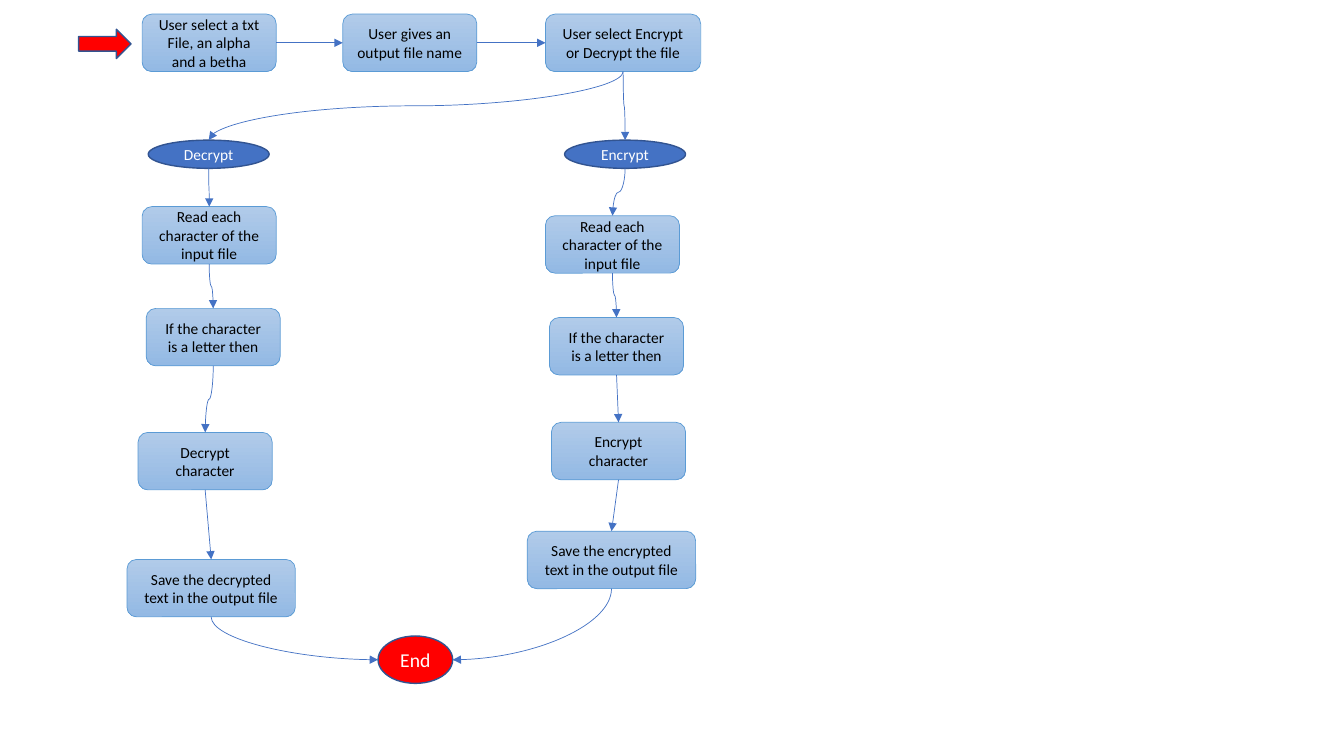
from lxml.etree import SubElement
from pptx import Presentation
from pptx.dml.color import RGBColor
from pptx.enum.shapes import MSO_CONNECTOR, MSO_SHAPE
from pptx.enum.text import MSO_ANCHOR, PP_ALIGN
from pptx.oxml.ns import qn
from pptx.util import Inches, Pt

BLACK = RGBColor(0x00, 0x00, 0x00)
WHITE = RGBColor(0xFF, 0xFF, 0xFF)
RED = RGBColor(0xFF, 0x00, 0x00)
BLUE = RGBColor(0x44, 0x72, 0xC4)
NAVY = RGBColor(0x32, 0x54, 0x91)
SKY = RGBColor(0x5B, 0x9B, 0xD5)
PALE = RGBColor(0xB1, 0xCB, 0xE9)
MIST = RGBColor(0x93, 0xB9, 0xE4)

# Connection site numbers of each preset shape
BOX_SITES = {"top": 0, "left": 1, "bottom": 2, "right": 3}
OVAL_SITES = {"top": 0, "left": 2, "bottom": 4, "right": 6}


def write(shape, text, size=11, color=BLACK, font="Calibri"):
    """Put centred text in a shape."""
    frame = shape.text_frame
    frame.word_wrap = True
    frame.vertical_anchor = MSO_ANCHOR.MIDDLE
    para = frame.paragraphs[0]
    para.alignment = PP_ALIGN.CENTER
    run = para.add_run()
    run.text = text
    run.font.name = font
    run.font.size = Pt(size)
    run.font.color.rgb = color


def spot(shape, side):
    """Return the middle of one side of a shape."""
    x = {"left": 0, "right": shape.width}.get(side, shape.width // 2)
    y = {"top": 0, "bottom": shape.height}.get(side, shape.height // 2)
    return shape.left + x, shape.top + y


class Flow:
    """Style and current slide of the flow chart."""

    def __init__(self, slide):
        """Keep the slide to draw on."""
        self.shapes = slide.shapes

    def shape(self, kind, left, top, width, height, line, weight):
        """Add a preset shape with its outline."""
        item = self.shapes.add_shape(
            kind, Inches(left), Inches(top), Inches(width), Inches(height))
        item.shadow.inherit = False
        item.line.color.rgb = line
        item.line.width = Pt(weight)
        return item

    def step(self, text, left, top, width=1.33):
        """Add a rounded step box with a gradient."""
        box = self.shape(MSO_SHAPE.ROUNDED_RECTANGLE, left, top, width, 0.57, SKY, 0.5)
        box.fill.gradient()
        box.fill.gradient_angle = 270
        for stop, color in zip(box.fill.gradient_stops, (PALE, MIST)):
            stop.color.rgb = color
        write(box, text)
        return box

    def solid(self, kind, left, top, width, height, color):
        """Add a plain filled shape with a dark outline."""
        item = self.shape(kind, left, top, width, height, NAVY, 1)
        item.fill.solid()
        item.fill.fore_color.rgb = color
        return item

    def oval(self, text, left, top, width=1.2, height=0.28, color=BLUE, size=11):
        """Add a labelled ellipse."""
        item = self.solid(MSO_SHAPE.OVAL, left, top, width, height, color)
        write(item, text, size=size, color=WHITE)
        return item

    def link(self, start, end, out="bottom", into="top", curve=False):
        """Join two shapes with an arrow; a curve leaves downwards."""
        (x1, y1), (x2, y2) = spot(start, out), spot(end, into)
        if curve:
            # The frame lies on its side and is turned about its centre
            long, wide = y2 - y1, abs(x2 - x1)
            left, top = (x1 + x2 - long) // 2, (y1 + y2 - wide) // 2
            line = self.shapes.add_connector(
                MSO_CONNECTOR.CURVE, left, top, left + long, top + wide)
            frame = line._element.spPr.find(qn("a:xfrm"))
            if x2 < x1:
                frame.set("rot", "5400000")
            else:
                frame.set("rot", "16200000")
                frame.set("flipH", "1")
            if into != "top":
                line._element.spPr.find(qn("a:prstGeom")).set("prst", "curvedConnector2")
        else:
            line = self.shapes.add_connector(MSO_CONNECTOR.STRAIGHT, x1, y1, x2, y2)
        line.line.color.rgb = BLUE
        line.line.width = Pt(0.5)
        SubElement(line.line._get_or_add_ln(), qn("a:tailEnd"), type="triangle")
        SubElement(line._element.spPr, qn("a:effectLst"))
        glue = line._element.find(".//" + qn("p:cNvCxnSpPr"))
        for tag, item, side in (("a:stCxn", start, out), ("a:endCxn", end, into)):
            sites = OVAL_SITES if item.auto_shape_type == MSO_SHAPE.OVAL else BOX_SITES
            SubElement(glue, qn(tag), id=str(item.shape_id), idx=str(sites[side]))

    def branch(self, label, steps, curves):
        """Add a branch from its label down, and link it; return its ends."""
        chain = [self.oval(*label)] + [self.step(*step) for step in steps]
        for start, end, curve in zip(chain, chain[1:], curves):
            self.link(start, end, curve=curve)
        return chain[0], chain[-1]


def main():
    """Build the slide and save it."""
    deck = Presentation()
    deck.slide_width, deck.slide_height = Inches(13.33), Inches(7.5)
    flow = Flow(deck.slides.add_slide(deck.slide_layouts[6]))

    flow.solid(MSO_SHAPE.RIGHT_ARROW, 0.78, 0.29, 0.52, 0.29, RED)
    pick = flow.step("User select a txt File, an alpha and a betha", 1.41, 0.14)
    name = flow.step("User gives an output file name", 3.4, 0.14)
    mode = flow.step("User select Encrypt or Decrypt the file", 5.41, 0.14, 1.54)
    for start, end in ((pick, name), (name, mode)):
        flow.link(start, end, "right", "left")

    read = "Read each character of the input file"
    test = "If the character is a letter then"
    decrypt = flow.branch(("Decrypt", 1.47, 1.39), (
        (read, 1.41, 2.05),
        (test, 1.45, 3.06),
        ("Decrypt character", 1.37, 4.29),
        ("Save the decrypted text in the output file", 1.26, 5.55, 1.67),
    ), (True, True, True, False))
    encrypt = flow.branch(("Encrypt", 5.6, 1.39), (
        (read, 5.41, 2.14),
        (test, 5.45, 3.15),
        ("Encrypt character", 5.47, 4.19),
        ("Save the encrypted text in the output file", 5.23, 5.27, 1.67),
    ), (True, True, False, False))

    finish = flow.oval("End", 3.75, 6.31, 0.74, 0.47, RED, 14)
    for (first, last), side in ((decrypt, "left"), (encrypt, "right")):
        flow.link(mode, first, curve=True)
        flow.link(last, finish, into=side, curve=True)

    deck.save("out.pptx")


main()
